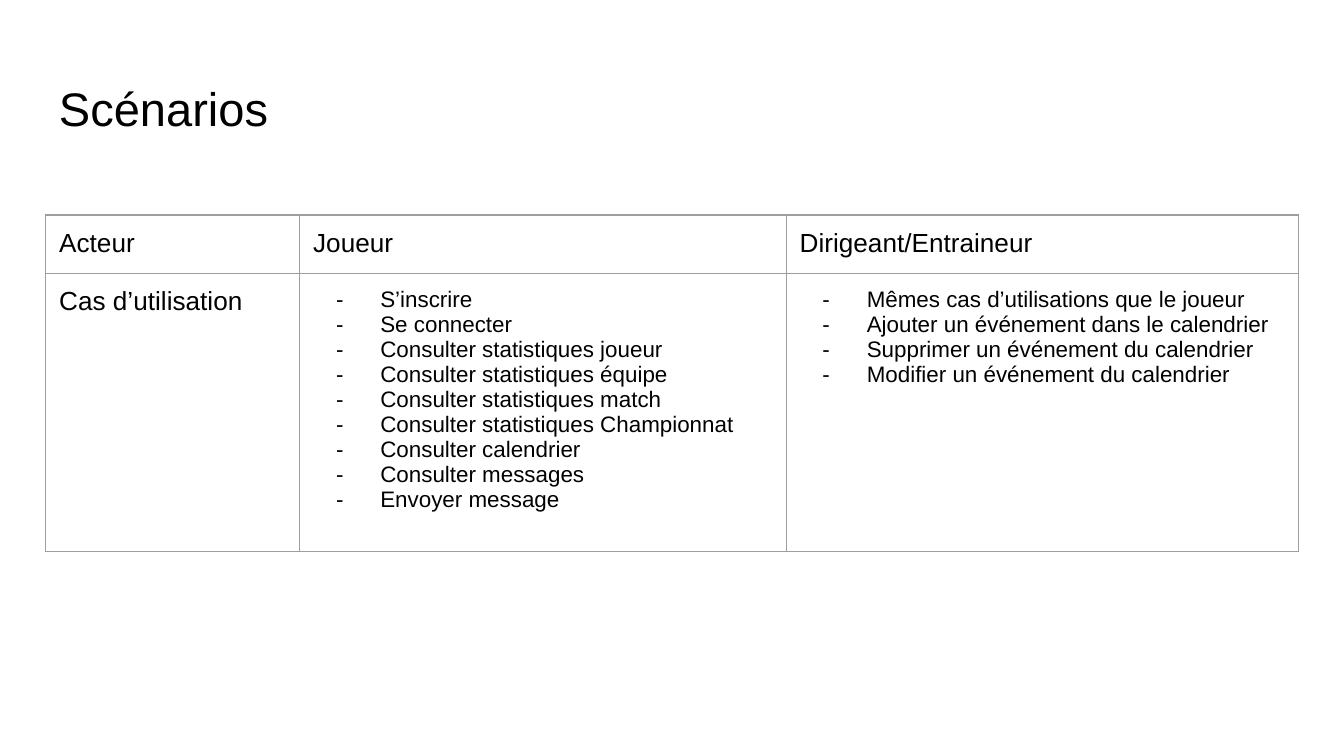
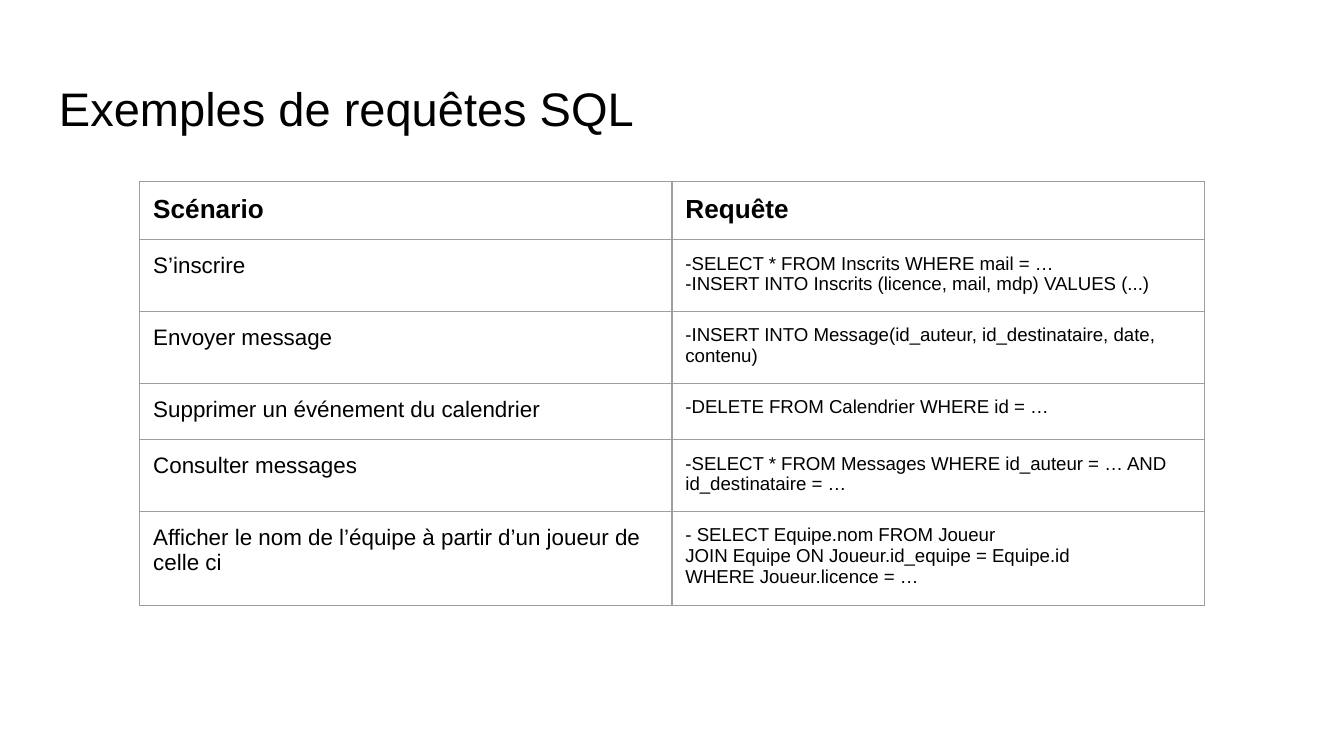
from lxml.etree import SubElement
from pptx import Presentation
from pptx.dml.color import RGBColor as Rgb
from pptx.enum.text import MSO_ANCHOR as Anchor
from pptx.oxml import parse_xml
from pptx.oxml.ns import nsdecls, qn
from pptx.util import Inches, Pt

COLORS = {"text": "000000", "border": "9E9E9E", "page": "FFFFFF"}
FONT = "Arial"
INSET = 0.1
BORDER_POINTS = 0.75
PAGE_WIDTH = 10
PAGE_HEIGHT = PAGE_WIDTH * 9 / 16
TITLE_BOX = (0.34, 0.49, 9.32, 0.63)

STYLES = {
    "title": {"size": Pt(25.2)},
    "label": {"size": Pt(14)},
    "head": {"size": Pt(14), "bold": True},
    "body": {"size": Pt(12)},
    "list": {"size": Pt(12)},
    "query": {"size": Pt(10)},
}

ACTORS = ["Acteur", "Joueur", "Dirigeant/Entraineur"]
PLAYER_CASES = [
    "S’inscrire",
    "Se connecter",
    "Consulter statistiques joueur",
    "Consulter statistiques équipe",
    "Consulter statistiques match",
    "Consulter statistiques Championnat",
    "Consulter calendrier",
    "Consulter messages",
    "Envoyer message",
]
MANAGER_CASES = [
    "Mêmes cas d’utilisations que le joueur",
    "Ajouter un événement dans le calendrier",
    "Supprimer un événement du calendrier",
    "Modifier un événement du calendrier",
]
QUERIES = [
    ("S’inscrire", [
        "-SELECT * FROM Inscrits WHERE mail = …",
        "-INSERT INTO Inscrits (licence, mail, mdp) VALUES (...)",
    ]),
    ("Envoyer message", [
        "-INSERT INTO Message(id_auteur, id_destinataire, date, contenu)",
    ]),
    ("Supprimer un événement du calendrier", [
        "-DELETE FROM Calendrier WHERE id = …",
    ]),
    ("Consulter messages", [
        "-SELECT * FROM Messages WHERE id_auteur = … AND id_destinataire = …",
    ]),
    ("Afficher le nom de l’équipe à partir d’un joueur de celle ci", [
        "- SELECT Equipe.nom FROM Joueur",
        "JOIN Equipe ON Joueur.id_equipe = Equipe.id",
        "WHERE Joueur.licence = …",
    ]),
]


def set_insets(target):
    for side in ("left", "top", "right", "bottom"):
        setattr(target, f"margin_{side}", Inches(INSET))


def add_dash(para):
    props = para._p.get_or_add_pPr()
    props.set("marL", str(Inches(0.5)))
    props.set("indent", str(Inches(-0.33)))
    color = SubElement(props, qn("a:buClr"))
    SubElement(color, qn("a:srgbClr"), val=COLORS["text"])
    SubElement(props, qn("a:buFont"), typeface=FONT)
    SubElement(props, qn("a:buChar"), char="-")


def write(frame, lines, style):
    """Put one paragraph per line in the frame, all in the named style."""
    for index, line in enumerate(lines):
        para = frame.paragraphs[0] if index == 0 else frame.add_paragraph()
        span = para.add_run()
        span.text = line
        span.font.name = FONT
        span.font.color.rgb = Rgb.from_string(COLORS["text"])
        for name, value in STYLES[style].items():
            setattr(span.font, name, value)
        if style == "list":
            add_dash(para)


def add_borders(cell):
    props = cell._tc.get_or_add_tcPr()
    for position, side in enumerate("LRTB"):
        line = parse_xml(
            f'<a:ln{side} {nsdecls("a")} w="{Pt(BORDER_POINTS)}"><a:solidFill>'
            f'<a:srgbClr val="{COLORS["border"]}"/></a:solidFill></a:ln{side}>'
        )
        props.insert(position, line)


def add_title_page(deck, title):
    page = deck.slides.add_slide(deck.slide_layouts[6])
    page.background.fill.solid()
    page.background.fill.fore_color.rgb = Rgb.from_string(COLORS["page"])
    frame = page.shapes.add_textbox(*map(Inches, TITLE_BOX)).text_frame
    frame.word_wrap = True
    frame.vertical_anchor = Anchor.TOP
    set_insets(frame)
    write(frame, [title], "title")
    return page


def add_grid(page, left, top, widths, heights, rows):
    """Draw a bordered table; each cell is a pair of lines and style."""
    box = (left, top, sum(widths), sum(heights))
    table = page.shapes.add_table(
        len(heights), len(widths), *map(Inches, box)).table
    table.first_row = table.horz_banding = False
    for column, width in zip(table.columns, widths):
        column.width = Inches(width)
    for row, height, contents in zip(table.rows, heights, rows):
        row.height = Inches(height)
        for cell, (lines, style) in zip(row.cells, contents):
            set_insets(cell)
            cell.fill.background()
            add_borders(cell)
            write(cell.text_frame, lines, style)


def build_scenarios(deck):
    page = add_title_page(deck, "Scénarios")
    rows = [
        [([actor], "label") for actor in ACTORS],
        [(["Cas d’utilisation"], "label"),
         (PLAYER_CASES, "list"), (MANAGER_CASES, "list")],
    ]
    add_grid(page, 0.34, 1.6, [1.89, 3.62, 3.81], [0.43, 2.07], rows)


def build_queries(deck):
    page = add_title_page(deck, "Exemples de requêtes SQL")
    rows = [[(["Scénario"], "head"), (["Requête"], "head")]]
    rows += [[([scenario], "body"), (lines, "query")]
             for scenario, lines in QUERIES]
    add_grid(page, 1.04, 1.35, [3.96] * 2, [0.42] * len(rows), rows)


def main():
    deck = Presentation()
    deck.slide_width = Inches(PAGE_WIDTH)
    deck.slide_height = Inches(PAGE_HEIGHT)
    build_scenarios(deck)
    build_queries(deck)
    deck.save("out.pptx")


if __name__ == "__main__":
    main()
